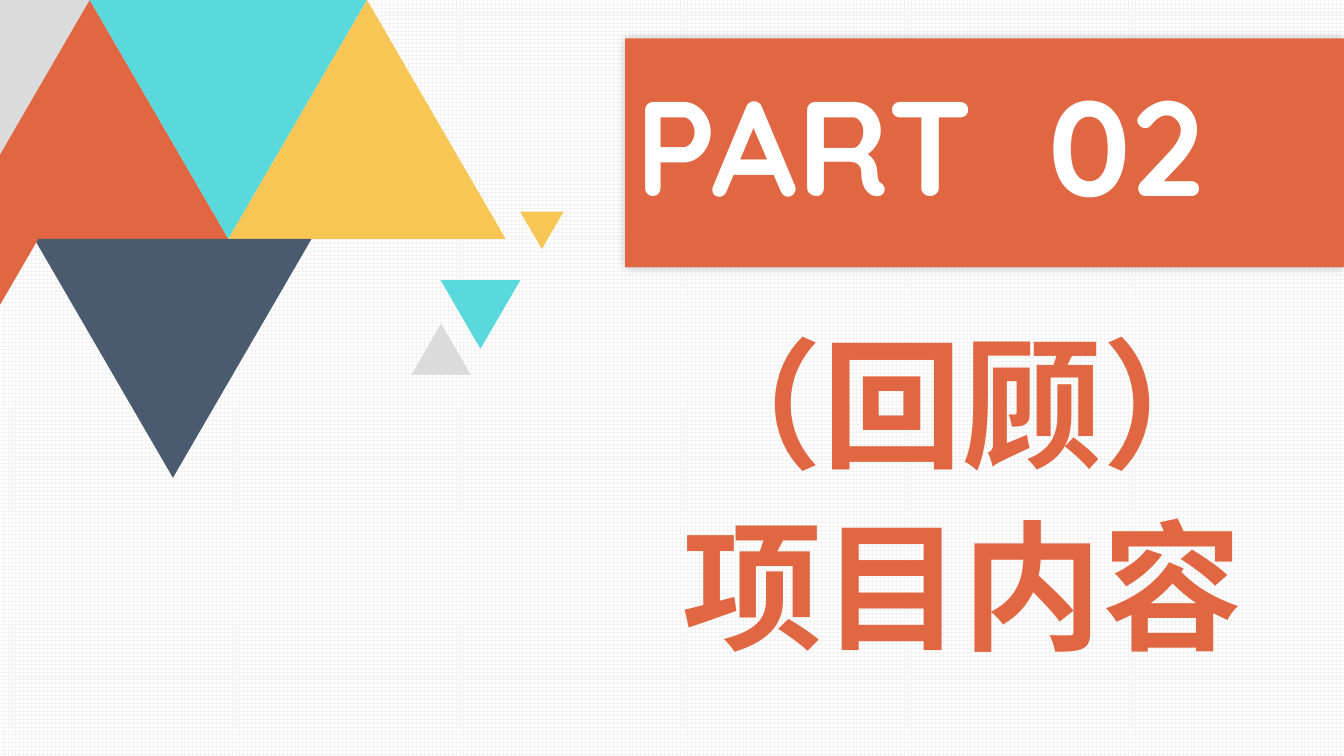
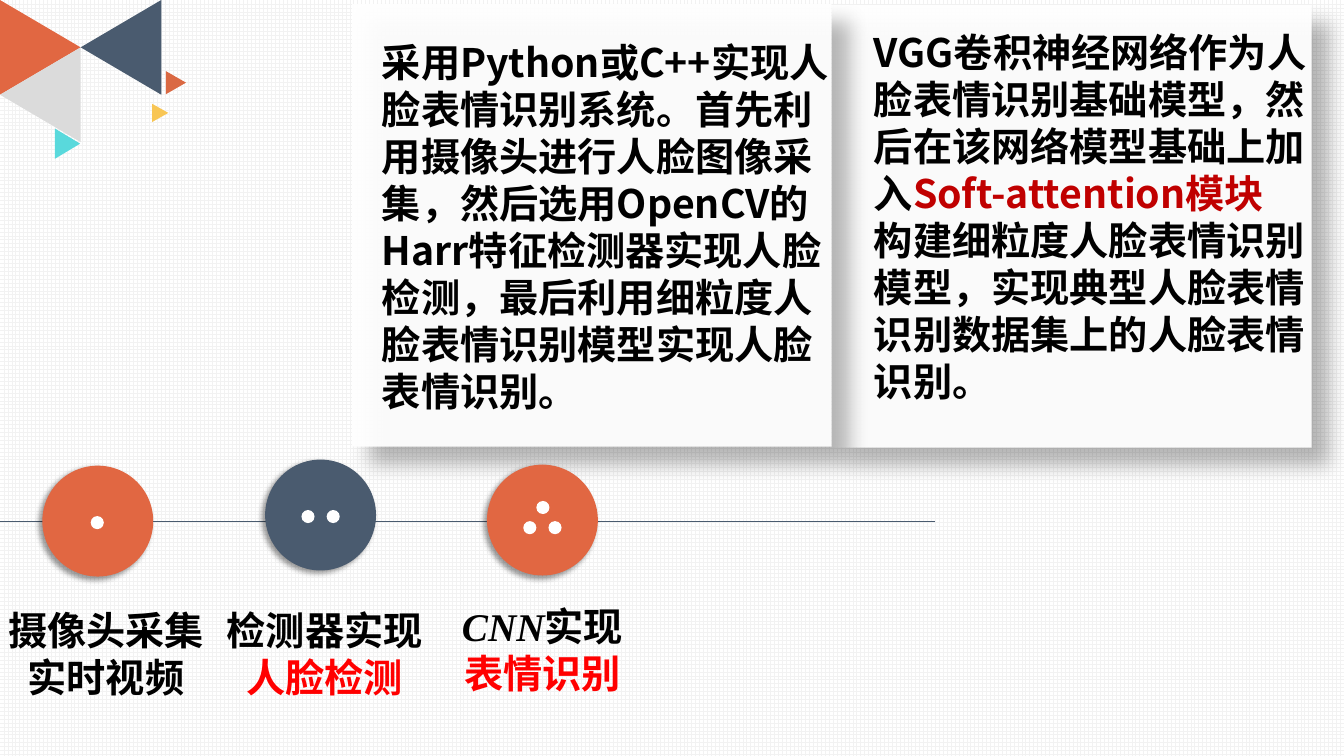
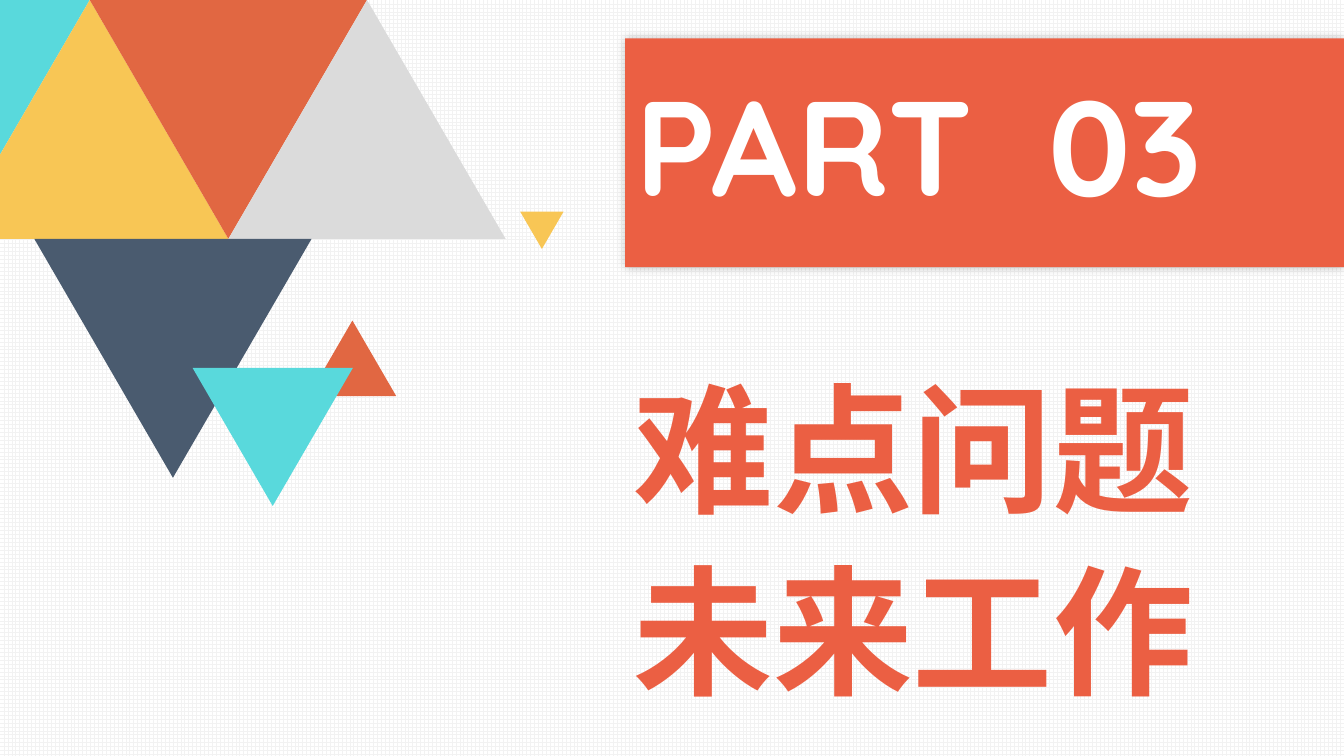
from dataclasses import dataclass

from pptx import Presentation
from pptx.dml import color as dml
from pptx.enum import dml as fills, shapes, text
from pptx.oxml import ns, xmlchemy
from pptx.util import Inches, Pt


@dataclass(frozen=True)
class Theme:
    """Colours, fonts, type sizes and shadows of the deck."""

    orange: str = "E16742"
    coral: str = "EB5F43"
    rust: str = "DA6943"
    teal: str = "59D9DC"
    yellow: str = "F8C655"
    slate: str = "4A5B6F"
    grey: str = "DBDBDB"
    grid: str = "F2F2F2"
    white: str = "FFFFFF"
    black: str = "000000"
    crimson: str = "C00000"
    red: str = "FF0000"
    display: str = "Quicksand"
    body: str = "Noto Sans CJK SC"
    serif: str = "Times New Roman"
    part_size: int = 96
    heading_size: int = 100
    body_size: int = 28
    band_shadow: tuple = (25, 7, 0, 0)
    card_shadow: tuple = (30, 15, 18, 45)
    marker_shadow: tuple = (40, 4, 3, 135)


THEME = Theme()
KIND = shapes.MSO_SHAPE
UP, DOWN, LEFT, RIGHT = 180, 0, 90, 270


def rgb(value):
    """Turn a hex string into a colour."""
    return dml.RGBColor.from_string(value)


def child(parent, tag, **attributes):
    """Append an XML element with attributes and return it."""
    element = xmlchemy.OxmlElement(tag)
    for name, value in attributes.items():
        element.set(name, str(value))
    parent.append(element)
    return element


def add_shape(page, kind, box, fill, shadow=None, opacity=100):
    """Place a borderless filled shape, with an optional soft shadow."""
    shape = page.shapes.add_shape(kind, *map(Inches, box))
    shape.fill.solid()
    shape.fill.fore_color.rgb = rgb(fill)
    shape.line.fill.background()
    shape.shadow.inherit = False
    properties = shape._element.spPr
    if opacity < 100:
        tint = properties.find(ns.qn("a:solidFill"))[0]
        child(tint, "a:alpha", val=opacity * 1000)
    if shadow:
        alpha, blur, distance, angle = shadow
        effects = properties.find(ns.qn("a:effectLst"))
        outer = child(effects, "a:outerShdw", blurRad=Pt(blur), dist=Pt(distance),
                      dir=angle * 60000, algn="ctr", rotWithShape=0)
        shade = child(outer, "a:srgbClr", val=THEME.black)
        child(shade, "a:alpha", val=alpha * 1000)
    return shape


def add_triangle(page, box, fill, direction=DOWN):
    """Place a triangle pointing in the given direction."""
    add_shape(page, KIND.FLOWCHART_MERGE, box, fill).rotation = direction


def add_span(para, words, color, size=THEME.body_size, face=THEME.body, italic=False):
    """Add one bold run to a paragraph."""
    span = para.add_run()
    span.text = words
    font = span.font
    font.size, font.bold, font.italic = Pt(size), True, italic
    font.color.rgb = rgb(color)
    font.name = face
    child(font._element, "a:ea", typeface=THEME.body)
    return span


def add_body(page, box, lines, align=text.PP_ALIGN.LEFT):
    """Place a text box whose lines are lists of run arguments."""
    frame = page.shapes.add_textbox(*map(Inches, box)).text_frame
    frame.word_wrap = True
    frame.auto_size = text.MSO_AUTO_SIZE.SHAPE_TO_FIT_TEXT
    for index, spans in enumerate(lines):
        para = frame.add_paragraph() if index else frame.paragraphs[0]
        para.alignment = align
        for span in spans:
            add_span(para, *span)


def add_band(page, box, number, color):
    """Place the band with the part number."""
    band = add_shape(page, KIND.RECTANGLE, box, color, THEME.band_shadow)
    frame = band.text_frame
    frame.word_wrap = True
    frame.vertical_anchor = text.MSO_ANCHOR.MIDDLE
    para = frame.paragraphs[0]
    tabs = child(para._p.get_or_add_pPr(), "a:tabLst")
    child(tabs, "a:tab", pos=Inches(4.1), algn="l")
    para.alignment = text.PP_ALIGN.LEFT
    para.line_spacing = 0.9
    span = add_span(para, f"PART\t{number}", THEME.white, THEME.part_size, THEME.display)
    span.font._element.set("spc", "50")


def add_heading(page, box, lines, color):
    """Fill the title placeholder with the section heading."""
    title = page.shapes.title
    title.left, title.top, title.width, title.height = map(Inches, box)
    frame = title.text_frame
    frame.word_wrap = True
    frame.auto_size = text.MSO_AUTO_SIZE.NONE
    frame.vertical_anchor = text.MSO_ANCHOR.TOP
    for index, words in enumerate(lines):
        para = frame.add_paragraph() if index else frame.paragraphs[0]
        para.alignment = text.PP_ALIGN.LEFT
        if index:
            para.space_before = Pt(10)
        add_span(para, words, color, THEME.heading_size, THEME.display)


def add_mosaic(page, left, top, row_colors, small):
    """Tile the corner with a row of large triangles and scatter small ones."""
    width, height = 2.75, 2.37
    for index, fill in enumerate(row_colors):
        box = (left + index * width / 2, top, width, height)
        add_triangle(page, box, fill, UP if index % 2 else DOWN)
    add_triangle(page, (left + 2.2, top + height, width, height), THEME.slate)
    add_triangle(page, (left + 7.02, top + 2.1, 0.43, 0.37), THEME.yellow)
    for (x, y, *size), fill, direction in small:
        add_triangle(page, (left + x, top + y, *size), fill, direction)


def build_divider(deck, number, color, heading_box, heading, row_colors, small):
    """Build a section divider."""
    page = deck.slides.add_slide(deck.slide_layouts[5])
    add_band(page, (6.2, 0.38, 7.13, 2.27), number, color)
    add_heading(page, heading_box, heading, color)
    add_mosaic(page, -1.86, 0, row_colors, small)


def add_corner(page, left, top):
    """Place the small cluster of sideways triangles."""
    large = (0.94, 0.8)
    for x, y, size, fill, direction in (
        (0, 0, large, THEME.orange, RIGHT),
        (0, 0.47, large, THEME.grey, LEFT),
        (0.59, 1.23, (0.3, 0.25), THEME.teal, RIGHT),
        (0.8, 0, large, THEME.slate, LEFT),
        (1.7, 0.65, (0.23, 0.2), THEME.rust, RIGHT),
        (1.57, 0.97, (0.18, 0.16), THEME.yellow, RIGHT),
    ):
        add_triangle(page, (left + x, top + y, *size), fill, direction)


def add_marker(page, left, top, fill, dots):
    """Place a timeline circle with its counting dots."""
    add_shape(page, KIND.OVAL, (left, top, 1.1, 1.1), fill, THEME.marker_shadow)
    for x, y in dots:
        add_shape(page, KIND.OVAL, (left + x, top + y, 0.13, 0.13), THEME.white)


def add_timeline(page, top):
    """Place the line, its three markers and their labels."""
    line = page.shapes.add_connector(shapes.MSO_CONNECTOR.STRAIGHT, Inches(-2.72),
                                     Inches(top), Inches(9.27), Inches(top))
    line.line.color.rgb = rgb(THEME.slate)
    line.line.width = Pt(0.5)
    child(line._element.spPr, "a:effectLst")
    black, red = THEME.black, THEME.red
    steps = (
        (0.42, -0.55, THEME.orange, [(0.48, 0.5)], -0.06, 0.8,
         [[("摄像头采集", black)], [("实时视频", black)]]),
        (2.63, -0.61, THEME.slate, [(0.36, 0.5), (0.61, 0.5)], 2.11, 0.8,
         [[("检测器实现", black)], [("人脸检测", red)]]),
        (4.83, -0.56, THEME.orange, [(0.36, 0.56), (0.61, 0.56), (0.49, 0.36)], 4.27, 0.76,
         [[("CNN", black, THEME.body_size, THEME.serif, True), ("实现", black)],
          [("表情识别", red)]]),
    )
    for left, rise, fill, dots, label_left, drop, label in steps:
        add_marker(page, left, top + rise, fill, dots)
        add_body(page, (label_left, top + drop, 2.22, 1.04), label, text.PP_ALIGN.CENTER)


def build_content(deck):
    """Build the project content slide."""
    page = deck.slides.add_slide(deck.slide_layouts[6])
    for left, top in ((8.25, 0.05), (3.49, 0.04)):
        add_shape(page, KIND.RECTANGLE, (left, top, 4.76, 4.39), THEME.white,
                  THEME.card_shadow, 94)
    add_corner(page, -0.07, 0.07)
    black = THEME.black
    add_body(page, (3.69, 0.33, 4.75, 3.87), [[(
        "采用Python或C++实现人脸表情识别系统。首先利用摄像头进行人脸图像采集，"
        "然后选用OpenCV的Harr特征检测器实现人脸检测，"
        "最后利用细粒度人脸表情识别模型实现人脸表情识别。", black)]])
    add_body(page, (8.57, 0.23, 4.84, 4.34), [
        [("VGG卷积神经网络作为人脸表情识别基础模型，然后在该网络模型基础上加入", black),
         ("Soft-attention模块", THEME.crimson)],
        [("构建细粒度人脸表情识别模型，实现典型人脸表情识别数据集上的人脸表情识别。", black)],
    ])
    add_timeline(page, 5.17)


def set_background(deck):
    """Give every slide the pale grid through the master."""
    fill = deck.slide_master.background.fill
    fill.patterned()
    fill.pattern = fills.MSO_PATTERN.LARGE_GRID
    fill.fore_color.rgb = rgb(THEME.grid)
    fill.back_color.rgb = rgb(THEME.white)


def main():
    """Build and save the deck."""
    deck = Presentation()
    deck.slide_width, deck.slide_height = Inches(13.33), Inches(7.5)
    set_background(deck)
    build_divider(
        deck, "02", THEME.orange, (6.67, 3.1, 7.32, 4.2), ("（回顾）", "项目内容"),
        (THEME.grey, THEME.orange, THEME.teal, THEME.yellow),
        (((1.37, 2.37, 0.87, 0.75), THEME.orange, DOWN),
         ((6.23, 2.78, 0.79, 0.68), THEME.teal, DOWN),
         ((5.94, 3.21, 0.59, 0.51), THEME.grey, UP)))
    build_content(deck)
    build_divider(
        deck, "03", THEME.coral, (6.18, 3.55, 7.32, 4.2), ("难点问题", "未来工作"),
        (THEME.teal, THEME.yellow, THEME.orange, THEME.grey),
        (((4.92, 3.18, 0.87, 0.75), THEME.orange, UP),
         ((3.77, 3.65, 1.59, 1.37), THEME.teal, DOWN)))
    deck.save("out.pptx")


if __name__ == "__main__":
    main()
